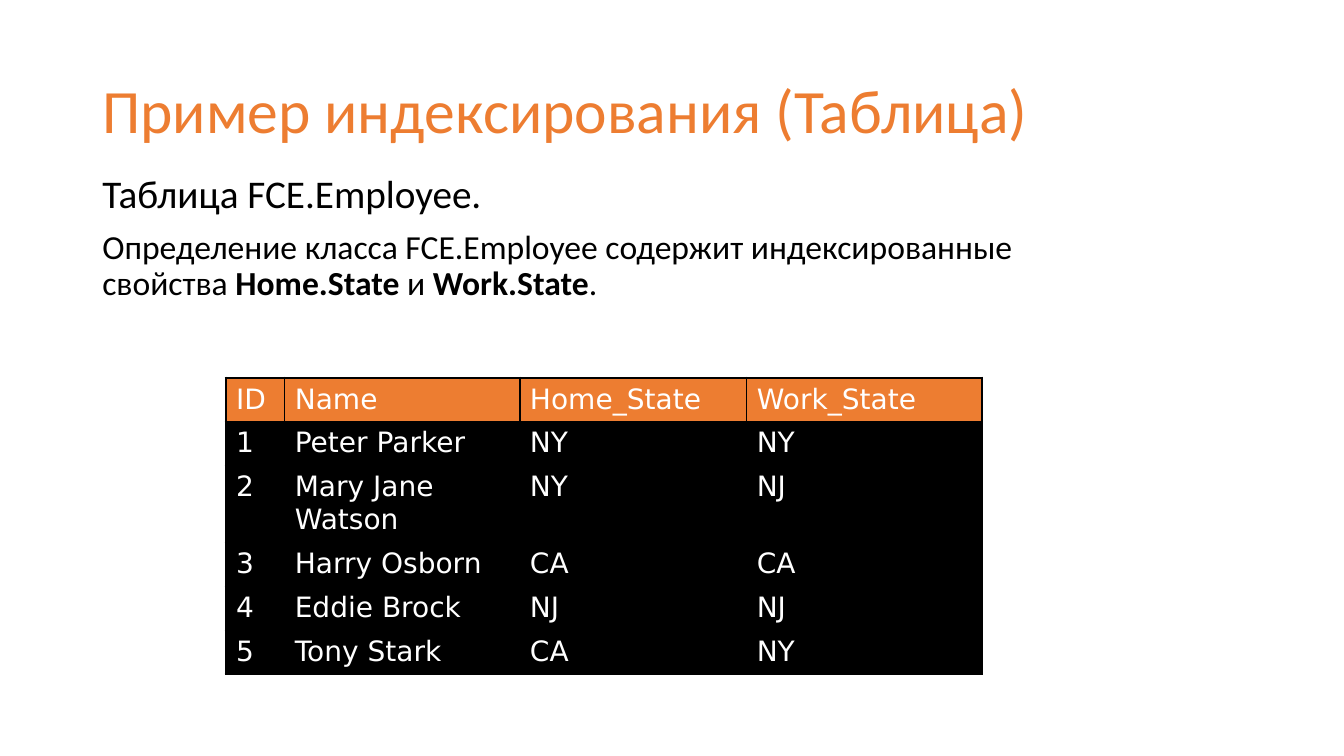
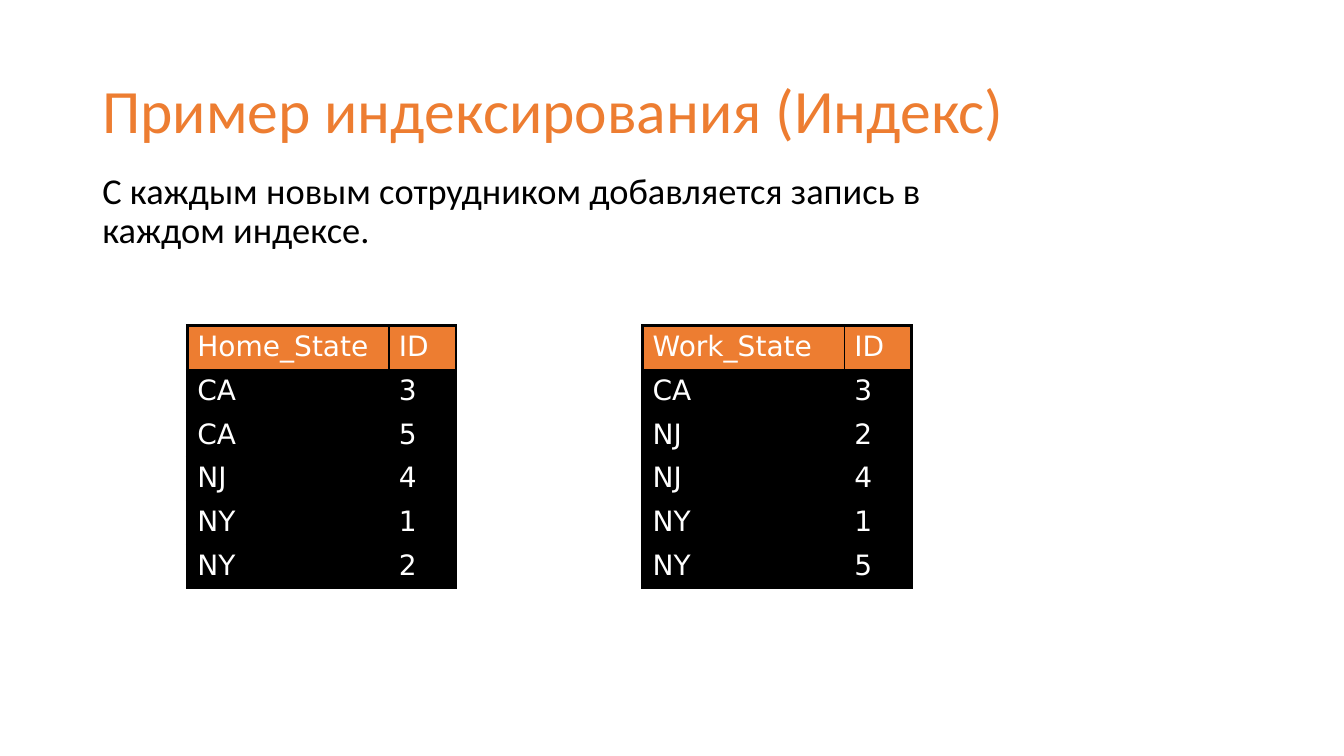
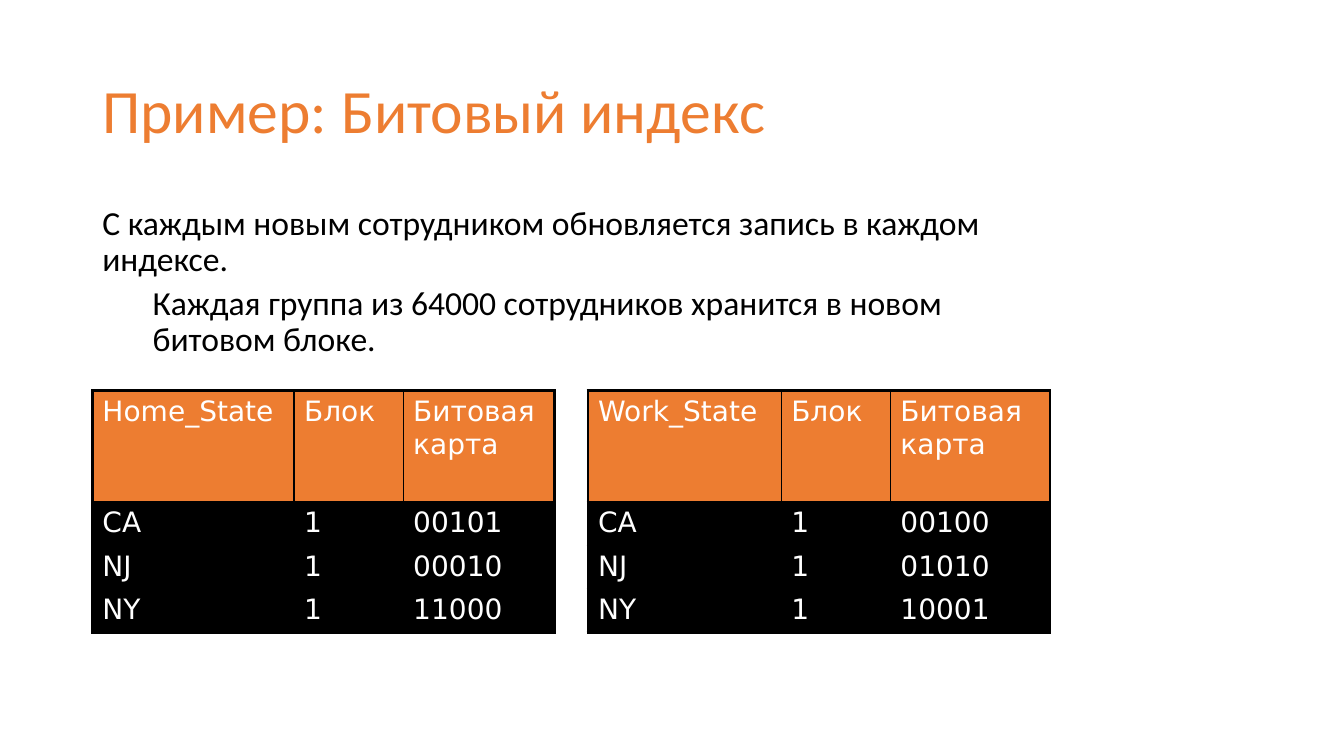
from lxml.etree import SubElement
from pptx import Presentation
from pptx.dml.color import RGBColor
from pptx.enum.text import MSO_ANCHOR
from pptx.oxml.ns import qn
from pptx.util import Inches, Pt

# Shared style; the slide is a grid of square units, twelve to the inch
COLORS = {"accent": "ED7D31", "ink": "000000", "paper": "FFFFFF"}
TEXT_FONT, TABLE_FONT = "Calibri", "DejaVu Sans"
GRID_COLUMNS, GRID_ROWS = 160, 90
LEFT_MARGIN = 11
TABLE_ROW = 5.2
OUTER_LINE, INNER_LINE = 2.21, 0.96


def grid(units):
    return Inches(units / 12)


def color(name):
    return RGBColor.from_string(COLORS[name])


def write(para, text, size, font=TEXT_FONT, ink="ink", bold=False):
    """Add a span of formatted text to a paragraph."""
    span = para.add_run()
    span.text = text
    span.font.size = Pt(size)
    span.font.name = font
    span.font.bold = bold
    span.font.color.rgb = color(ink)


def add_box(page, left, top, width, height, anchor=MSO_ANCHOR.TOP):
    box = page.shapes.add_textbox(*map(grid, (left, top, width, height)))
    box.text_frame.word_wrap = True
    box.text_frame.vertical_anchor = anchor
    return box.text_frame


def add_page(deck, title):
    """Add a blank page with the common title."""
    page = deck.slides.add_slide(deck.slide_layouts[6])
    frame = add_box(page, LEFT_MARGIN, 4.8, 138, 17.4, MSO_ANCHOR.MIDDLE)
    frame.paragraphs[0].line_spacing = 0.9
    write(frame.paragraphs[0], title, 44, ink="accent")
    return page


def add_body(page, top, width, height, paragraphs):
    """Each paragraph is (size, indent, space before, spans); odd spans are bold."""
    frame = add_box(page, LEFT_MARGIN, top, width, height)
    for number, (size, indent, space, spans) in enumerate(paragraphs):
        para = frame.add_paragraph() if number else frame.paragraphs[0]
        para.line_spacing = 0.9
        para.space_before = Pt(space)
        if indent:
            para._p.get_or_add_pPr().set("marL", str(grid(indent)))
        for position, text in enumerate(spans):
            write(para, text, size, bold=position % 2 == 1)


def set_borders(cell, widths):
    """Put left, right, top and bottom lines ahead of the cell's fill."""
    properties = cell._tc.get_or_add_tcPr()
    for position, (side, width) in enumerate(zip("LRTB", widths)):
        line = SubElement(properties, qn(f"a:ln{side}"), w=str(Pt(width)))
        fill = SubElement(line, qn("a:solidFill"))
        SubElement(fill, qn("a:srgbClr"), val=COLORS["ink"])
        properties.insert(position, line)


def add_data_table(page, left, top, widths, rows, heights=None):
    """Draw a table with an accent header; heights overrides single rows."""
    heights = heights or {}
    row_heights = [heights.get(number, TABLE_ROW) for number in range(len(rows))]
    table = page.shapes.add_table(
        len(rows), len(widths), grid(left), grid(top),
        grid(sum(widths)), grid(sum(row_heights))).table
    table.horz_banding = False
    for column, width in zip(table.columns, widths):
        column.width = grid(width)
    last_row, last_column = len(rows) - 1, len(widths) - 1
    for r, values in enumerate(rows):
        table.rows[r].height = grid(row_heights[r])
        for c, text in enumerate(values):
            cell = table.cell(r, c)
            cell.fill.solid()
            cell.fill.fore_color.rgb = color("ink" if r else "accent")
            write(cell.text_frame.paragraphs[0], text, 20, TABLE_FONT, "paper")
            edges = (c == 0, c == last_column, r == 0, r == last_row)
            set_borders(cell, [OUTER_LINE if edge else INNER_LINE for edge in edges])


def add_employee_page(deck):
    page = add_page(deck, "Пример индексирования (Таблица)")
    add_body(page, 20.16, 119.88, 17.4, [
        (28, 0, 10, ["Таблица FCE.Employee."]),
        (24, 0, 10, ["Определение класса FCE.Employee содержит индексированные свойства ",
                     "Home.State ", "и ", "Work.State", "."]),
    ])
    add_data_table(page, 26.9, 45, [7, 28, 27, 28], [
        ("ID", "Name", "Home_State", "Work_State"),
        ("1", "Peter Parker", "NY", "NY"),
        ("2", "Mary Jane Watson", "NY", "NJ"),
        ("3", "Harry Osborn", "CA", "CA"),
        ("4", "Eddie Brock", "NJ", "NJ"),
        ("5", "Tony Stark", "CA", "NY"),
    ], heights={2: 9.2})


def add_index_page(deck):
    page = add_page(deck, "Пример индексирования (Индекс)")
    add_body(page, 20, 109.3, 25, [
        (26, 0, 10, ["С каждым новым сотрудником добавляется запись в каждом индексе."]),
    ])
    indexes = [
        (22.3, "Home_State", ["CA", "CA", "NJ", "NY", "NY"], "35412"),
        (76.5, "Work_State", ["CA", "NJ", "NJ", "NY", "NY"], "32415"),
    ]
    for left, name, states, numbers in indexes:
        add_data_table(page, left, 38.75, [24, 8], [(name, "ID"), *zip(states, numbers)])


def add_bitmap_page(deck):
    page = add_page(deck, "Пример: Битовый индекс")
    add_body(page, 24, 116.2, 57.1, [
        (24, 0, 10, ["С каждым новым сотрудником обновляется запись в каждом индексе."]),
        (24, 6, 5, ["Каждая группа из 64000 сотрудников хранится в новом битовом блоке."]),
    ])
    indexes = [
        (LEFT_MARGIN, [24, 13, 18], "Home_State", ["00101", "00010", "11000"]),
        (70, [23, 13, 19], "Work_State", ["00100", "01010", "10001"]),
    ]
    for left, widths, name, bitmaps in indexes:
        rows = [(name, "Блок", "Битовая карта"), *zip(["CA", "NJ", "NY"], "111", bitmaps)]
        add_data_table(page, left, 46.5, widths, rows, heights={0: 13.2})


def main():
    deck = Presentation()
    deck.slide_width, deck.slide_height = grid(GRID_COLUMNS), grid(GRID_ROWS)
    add_employee_page(deck)
    add_index_page(deck)
    add_bitmap_page(deck)
    deck.save("out.pptx")


if __name__ == "__main__":
    main()
